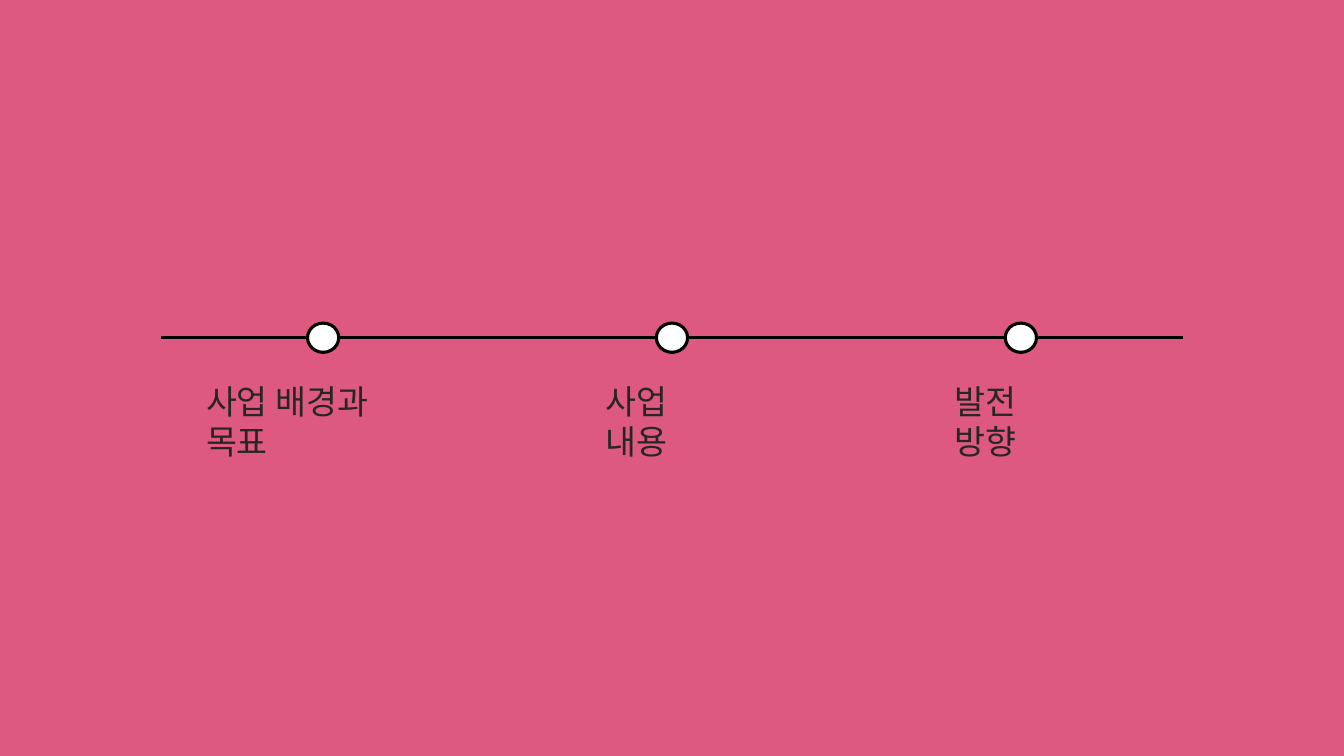
from pptx import Presentation
from pptx.dml.color import RGBColor
from pptx.enum.shapes import MSO_CONNECTOR, MSO_SHAPE
from pptx.enum.text import MSO_AUTO_SIZE
from pptx.oxml.ns import qn
from pptx.util import Inches, Pt
from lxml import etree

STRAIGHT = MSO_CONNECTOR.STRAIGHT
OVAL = MSO_SHAPE.OVAL
FIT_SHAPE = MSO_AUTO_SIZE.SHAPE_TO_FIT_TEXT

COLORS = {"background": "DD597F", "line": "000000", "node": "FFFFFF", "text": "262626"}
FONT = "Noto Sans CJK KR"
LABEL_SIZE = 24

CENTER_X = 6.665
AXIS_Y = 3.35
AXIS_LENGTH = 10.13
STEP_GAP = 3.46
NODE_WIDTH, NODE_HEIGHT = 0.31, 0.29
LABEL_TOP, LABEL_HEIGHT = 3.73, 0.5
STEPS = [("사업 배경과 목표", 2.52), ("사업 내용", 1.51), ("발전 방향", 1.51)]


class TimelinePage:
    def __init__(self, page):
        self.page = page
        self.paint(page.background.fill, "background")

    def paint(self, fill, color):
        fill.solid()
        fill.fore_color.rgb = RGBColor.from_string(COLORS[color])

    def outline(self, line, width):
        self.paint(line.fill, "line")
        line.width = Pt(width)

    def axis(self, left, right, y):
        line = self.page.shapes.add_connector(
            STRAIGHT, Inches(left), Inches(y), Inches(right), Inches(y))
        self.outline(line.line, 2.5)
        etree.SubElement(line._element.spPr, qn("a:effectLst"))

    def node(self, x, y):
        """Draw a timeline marker centred on x, y."""
        circle = self.page.shapes.add_shape(
            OVAL, Inches(x - NODE_WIDTH / 2), Inches(y - NODE_HEIGHT / 2),
            Inches(NODE_WIDTH), Inches(NODE_HEIGHT))
        circle.shadow.inherit = False
        self.paint(circle.fill, "node")
        self.outline(circle.line, 2.25)

    def label(self, text, x, width):
        """Place left-aligned text in a box centred on x."""
        box = self.page.shapes.add_textbox(
            Inches(x - width / 2), Inches(LABEL_TOP), Inches(width), Inches(LABEL_HEIGHT))
        frame = box.text_frame
        frame.word_wrap = True
        frame.auto_size = FIT_SHAPE
        frame.margin_right = Inches(0.2)
        frame.text = text
        span = frame.paragraphs[0].runs[0]
        span.font.size = Pt(LABEL_SIZE)
        span.font.name = FONT
        span.font.color.rgb = RGBColor.from_string(COLORS["text"])
        east_asian = etree.SubElement(span.font._element, qn("a:ea"))
        east_asian.set("typeface", FONT)


def main():
    deck = Presentation()
    deck.slide_width, deck.slide_height = Inches(13.33), Inches(7.5)
    timeline = TimelinePage(deck.slides.add_slide(deck.slide_layouts[6]))

    timeline.axis(CENTER_X - AXIS_LENGTH / 2, CENTER_X + AXIS_LENGTH / 2, AXIS_Y)
    for index, (text, width) in enumerate(STEPS):
        x = CENTER_X + (index - 1) * STEP_GAP
        timeline.node(x, AXIS_Y)
        timeline.label(text, x, width)

    deck.save("out.pptx")


if __name__ == "__main__":
    main()
